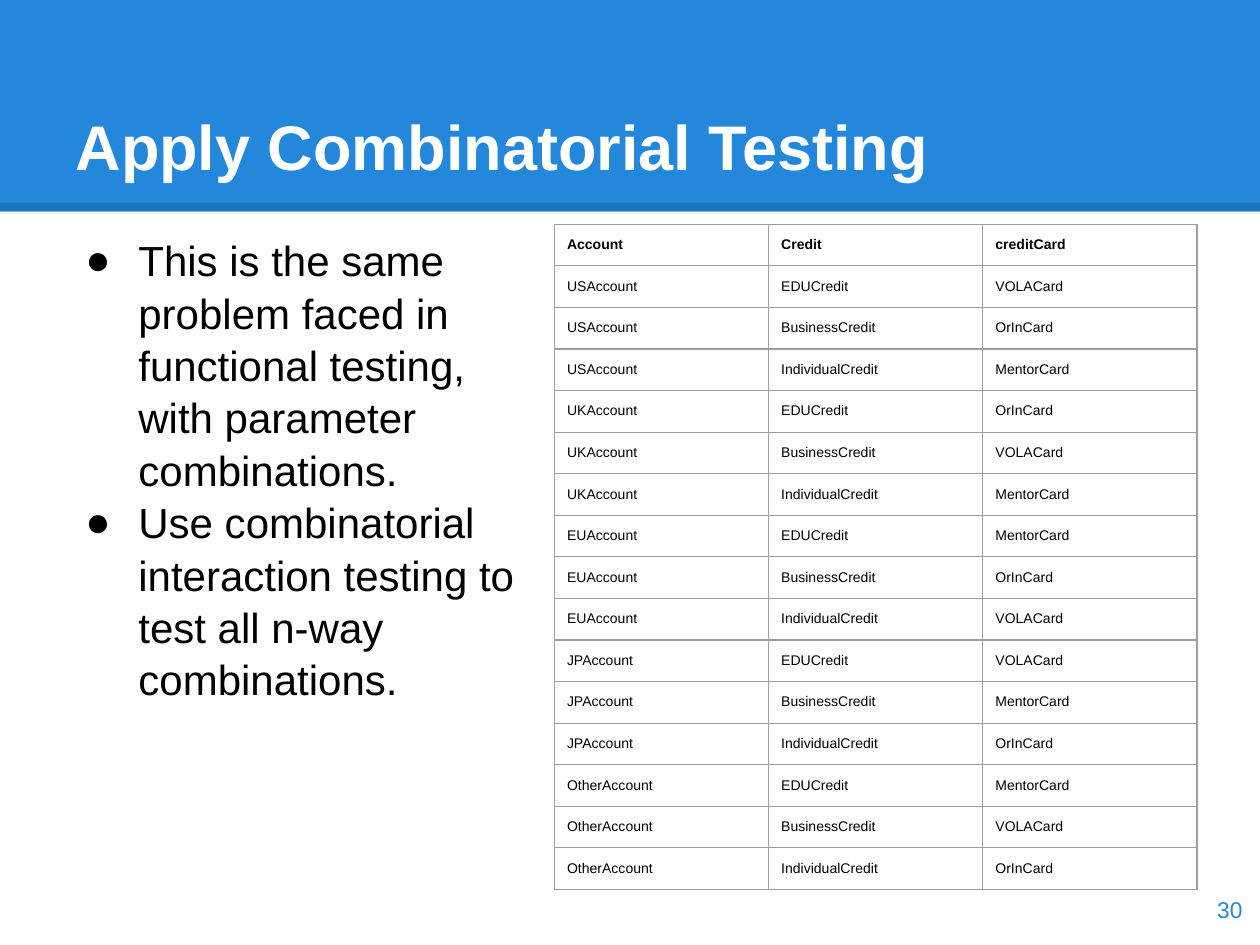
"""Build the slide on combinatorial testing of account, credit and card classes."""
from itertools import product
from typing import NamedTuple

from lxml import etree
from pptx import Presentation
from pptx import util as u
from pptx.dml.color import RGBColor
from pptx.enum import shapes, text
from pptx.oxml import ns

BLUE = RGBColor(0x23, 0x88, 0xDB)
WHITE = RGBColor(0xFF, 0xFF, 0xFF)
BLACK = RGBColor(0x00, 0x00, 0x00)
GREY = RGBColor(0x9E, 0x9E, 0x9E)
FONT = "Arial"
WIDTH, HEIGHT = u.Inches(10), u.Inches(7.5)
INSET = u.Inches(0.1)
COLUMN, ROW = u.Inches(1.7), u.Inches(0.33)

HEADER = ("Account", "Credit", "creditCard")
ACCOUNTS = ("USAccount", "UKAccount", "EUAccount", "JPAccount", "OtherAccount")
CREDITS = ("EDUCredit", "BusinessCredit", "IndividualCredit")
CARDS = (
    "VOLACard", "OrInCard", "MentorCard",
    "OrInCard", "VOLACard", "MentorCard",
    "MentorCard", "OrInCard", "VOLACard",
    "VOLACard", "MentorCard", "OrInCard",
    "MentorCard", "VOLACard", "OrInCard",
)
POINTS = (
    "This is the same problem faced in functional testing, with parameter combinations.",
    "Use combinatorial interaction testing to test all n-way combinations.",
)


class Area(NamedTuple):
    """A rectangle given as shares of the slide's width and height."""
    left: float
    top: float
    width: float
    height: float

    def lengths(self) -> tuple:
        """Return the rectangle as slide lengths."""
        return (int(self.left * WIDTH), int(self.top * HEIGHT),
                int(self.width * WIDTH), int(self.height * HEIGHT))


class Style(NamedTuple):
    """The look of a run of text."""
    size: float
    color: RGBColor = BLACK
    bold: bool = False


def add_span(para, wording: str, style: Style) -> None:
    """Add one formatted run to a paragraph."""
    span = para.add_run()
    span.text = wording
    span.font.name = FONT
    span.font.size = u.Pt(style.size)
    span.font.bold = style.bold
    span.font.color.rgb = style.color


def set_frame(box, area: Area, anchor):
    """Place a text shape, set its insets and return its text frame."""
    box.left, box.top, box.width, box.height = area.lengths()
    frame = box.text_frame
    frame.word_wrap = True
    frame.auto_size = text.MSO_AUTO_SIZE.NONE
    frame.vertical_anchor = anchor
    frame.margin_left = frame.margin_right = INSET
    frame.margin_top = frame.margin_bottom = INSET
    return frame


def add_box(page, area: Area, anchor):
    """Add a text box and return its text frame."""
    return set_frame(page.shapes.add_textbox(*area.lengths()), area, anchor)


def set_bullet(para) -> None:
    """Give a paragraph a hanging round bullet."""
    props = para._p.get_or_add_pPr()
    props.set("marL", str(u.Inches(0.5)))
    props.set("indent", str(u.Inches(-0.42)))
    color = etree.SubElement(props, ns.qn("a:buClr"))
    etree.SubElement(color, ns.qn("a:srgbClr"), val=str(BLACK))
    etree.SubElement(props, ns.qn("a:buFont"), typeface=FONT)
    etree.SubElement(props, ns.qn("a:buChar"), char="●")


def add_band(page) -> None:
    """Add the title band with the darker line along its foot."""
    band = page.shapes.add_shape(shapes.MSO_SHAPE.RECTANGLE, *Area(0, 0, 1, 0.224).lengths())
    band.shadow.inherit = False
    band.fill.solid()
    band.fill.fore_color.rgb = BLUE
    band.line.fill.background()
    level = u.Inches(1.64)
    edge = page.shapes.add_connector(shapes.MSO_CONNECTOR.STRAIGHT, 0, level, WIDTH, level)
    edge.line.width = u.Pt(4.5)
    edge.line.color.rgb = BLACK
    tint = next(edge._element.iter(ns.qn("a:srgbClr")))
    etree.SubElement(tint, ns.qn("a:alpha"), val="15000")
    etree.SubElement(edge._element.spPr, ns.qn("a:effectLst"))


def set_borders(cell) -> None:
    """Draw a thin grey line on each side of a cell."""
    props = cell._tc.get_or_add_tcPr()
    for index, side in enumerate(("lnL", "lnR", "lnT", "lnB")):
        border = etree.Element(ns.qn(f"a:{side}"), w=str(u.Pt(0.75)))
        fill = etree.SubElement(border, ns.qn("a:solidFill"))
        etree.SubElement(fill, ns.qn("a:srgbClr"), val=str(GREY))
        props.insert(index, border)


def add_combinations(page) -> None:
    """Add the table that pairs each account and credit with a card."""
    pairs = product(ACCOUNTS, CREDITS)
    rows = [HEADER, *((*pair, card) for pair, card in zip(pairs, CARDS))]
    table = page.shapes.add_table(
        len(rows), len(HEADER), u.Inches(4.4), u.Inches(1.78),
        COLUMN * len(HEADER), ROW * len(rows)).table
    table.horz_banding = False
    for column in table.columns:
        column.width = COLUMN
    for index, wordings in enumerate(rows):
        table.rows[index].height = ROW
        for cell, wording in zip(table.rows[index].cells, wordings):
            cell.fill.background()
            cell.margin_left = cell.margin_right = INSET
            cell.margin_top = cell.margin_bottom = INSET
            set_borders(cell)
            add_span(cell.text_frame.paragraphs[0], wording, Style(8, bold=index == 0))


def add_title(page) -> None:
    """Format the title placeholder and bring it in front of the band."""
    title = page.shapes.title
    page.shapes._spTree.append(title._element)
    frame = set_frame(title, Area(0.05, 0.04, 0.9, 0.167), text.MSO_ANCHOR.BOTTOM)
    para = frame.paragraphs[0]
    para.alignment = text.PP_ALIGN.LEFT
    add_span(para, "Apply Combinatorial Testing", Style(36, WHITE, True))


def add_points(page) -> None:
    """Add the bulleted text beside the table."""
    frame = add_box(page, Area(0.05, 0.233, 0.382, 0.724), text.MSO_ANCHOR.TOP)
    for index, wording in enumerate(POINTS):
        para = frame.add_paragraph() if index else frame.paragraphs[0]
        set_bullet(para)
        para.line_spacing = 1.04
        add_span(para, wording, Style(24))


def add_number(page) -> None:
    """Add the page number in the lower right corner."""
    frame = add_box(page, Area(0.936, 0.924, 0.06, 0.076), text.MSO_ANCHOR.MIDDLE)
    para = frame.paragraphs[0]
    para.alignment = text.PP_ALIGN.RIGHT
    add_span(para, "30", Style(13, BLUE))


def main() -> None:
    """Build and save the deck."""
    deck = Presentation()
    deck.slide_width, deck.slide_height = WIDTH, HEIGHT
    page = deck.slides.add_slide(deck.slide_layouts.get_by_name("Title Only"))
    page.background.fill.solid()
    page.background.fill.fore_color.rgb = WHITE
    add_band(page)
    add_combinations(page)
    add_title(page)
    add_points(page)
    add_number(page)
    deck.save("out.pptx")


if __name__ == "__main__":
    main()
